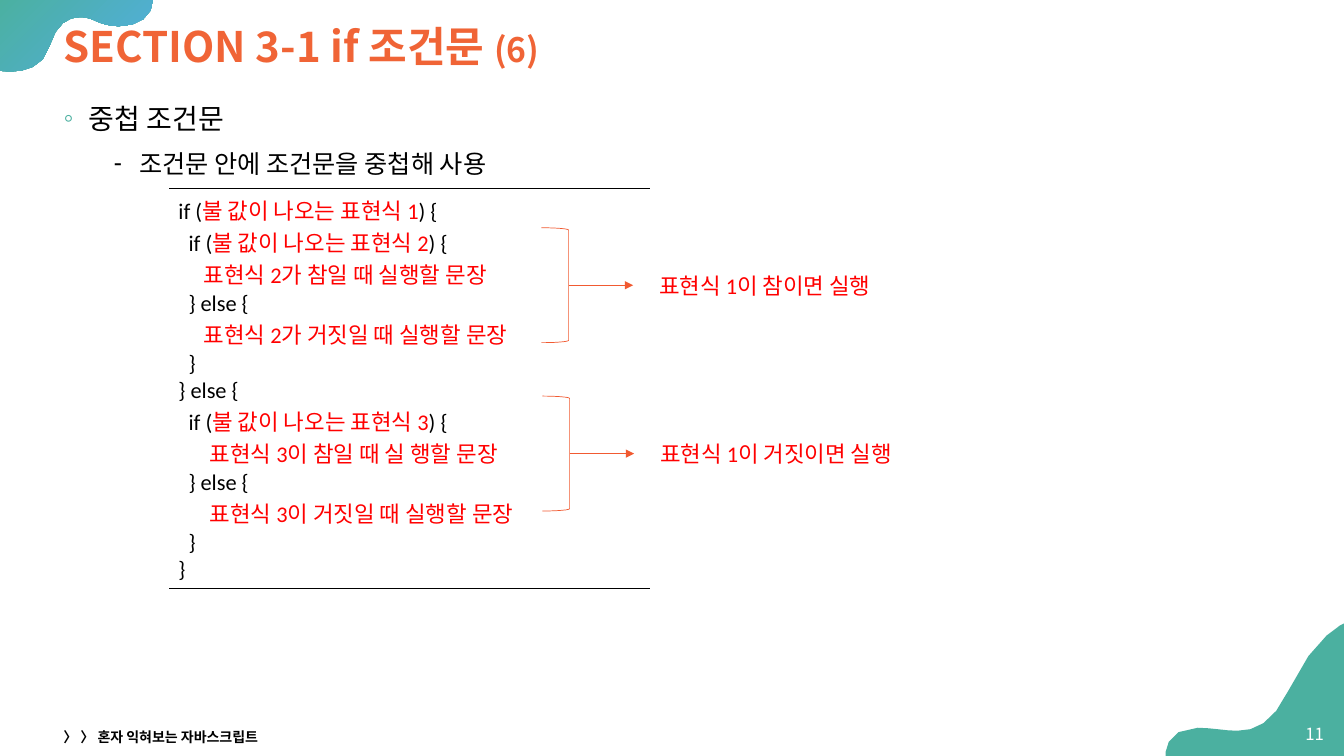
from lxml.etree import SubElement
from pptx import Presentation
from pptx.dml.color import RGBColor
from pptx.enum.shapes import MSO_CONNECTOR as Connector, MSO_SHAPE as Preset
from pptx.enum.text import MSO_ANCHOR as Anchor, MSO_AUTO_SIZE as AutoSize, PP_ALIGN as Align
from pptx.oxml import parse_xml
from pptx.oxml.ns import nsdecls, qn
from pptx.util import Pt

PX = 9144
KOREAN = "Noto Sans CJK KR"
COLORS = {
    "teal": "4BB0A0", "sky": "52AEE1", "title": "F06436", "accent": "F15A31",
    "black": "000000", "red": "FF0000", "white": "FFFFFF",
}
TOP_BLOB = [
    [(152, -2)], [(-1, -2)], [(-1, 70)],
    [(-1, 70), (4, 71), (11, 71)], [(24, 71), (43, 67), (49, 46)],
    [(56, 23), (68, 17), (79, 17)], [(84, 17), (89, 18), (93, 20)],
    [(101, 24), (110, 26), (118, 26)], [(137, 26), (152, 17), (152, -2)],
]
CORNER_BLOB = [
    [(1334, 618)], [(1334, 618), (1304, 629), (1278, 685)],
    [(1262, 718), (1245, 725), (1227, 725)], [(1215, 725), (1202, 722), (1188, 722)],
    [(1154, 722), (1156, 750), (1156, 750)], [(1334, 750)],
]
CODE = [
    (0, "if (", "불 값이 나오는 표현식 1", ") {"),
    (10, "if (", "불 값이 나오는 표현식 2", ") {"),
    (25, "", "표현식 2가 참일 때 실행할 문장", ""),
    (10, "} else {", "", ""),
    (25, "", "표현식 2가 거짓일 때 실행할 문장", ""),
    (10, "}", "", ""),
    (0, "} else {", "", ""),
    (10, "if (", "불 값이 나오는 표현식 3", ") {"),
    (31, "", "표현식 3이 참일 때 실 행할 문장", ""),
    (10, "} else {", "", ""),
    (31, "", "표현식 3이 거짓일 때 실행할 문장", ""),
    (10, "}", "", ""),
    (0, "}", "", ""),
]


def rgb(name):
    """Look up a named colour."""
    return RGBColor.from_string(COLORS[name])


def emu(box):
    """Turn a box in px into EMU."""
    return [length * PX for length in box]


def style(span, size, color, font=KOREAN, bold=False):
    """Format one run without kerning, with a Korean face for Hangul."""
    span.font.size, span.font.bold, span.font.name = Pt(size), bold, font
    span.font.color.rgb = rgb(color)
    span.font._element.set("kern", "0")
    SubElement(span.font._element, qn("a:ea"), typeface=KOREAN)


def place(shape, box):
    """Move a shape to a box."""
    shape.left, shape.top, shape.width, shape.height = emu(box)


def add_label(page, box, text, size, color, font=KOREAN, bold=False,
              align=Align.LEFT, anchor=Anchor.MIDDLE):
    """Add one line of text in a box."""
    frame = page.shapes.add_textbox(*emu(box)).text_frame
    frame.word_wrap, frame.vertical_anchor = True, anchor
    frame.text = text
    frame.paragraphs[0].alignment = align
    style(frame.paragraphs[0].runs[0], size, color, font, bold)


def outline(segments, steps=4):
    """Flatten straight and cubic segments into points in tenths of a px."""
    points = [segments[0][0]]
    for segment in segments[1:]:
        if len(segment) == 1:
            points.append(segment[0])
            continue
        corners = [points[-1], *segment]
        for step in range(1, steps + 1):
            t = step / steps
            weights = [(1 - t) ** 3, 3 * t * (1 - t) ** 2, 3 * t * t * (1 - t), t ** 3]
            points.append(tuple(sum(w * corner[axis] for w, corner in zip(weights, corners))
                                for axis in (0, 1)))
    return [(round(x * 10), round(y * 10)) for x, y in points]


def add_blob(page, segments):
    """Add a teal decorative blob."""
    start, *rest = outline(segments)
    builder = page.shapes.build_freeform(*start, scale=PX / 10)
    builder.add_line_segments(rest, close=True)
    blob = builder.convert_to_shape()
    blob.shadow.inherit = False
    blob.line.fill.background()
    blob.fill.solid()
    blob.fill.fore_color.rgb = rgb("teal")
    return blob


def add_decoration(page):
    """Add both corner blobs."""
    fill = add_blob(page, TOP_BLOB).fill
    fill.gradient()
    fill.gradient_angle = 315
    for stop, name in zip(fill.gradient_stops, ("teal", "sky")):
        stop.color.rgb = rgb(name)
    add_blob(page, CORNER_BLOB)


def fill_title(title, box):
    """Write the section title."""
    place(title, box)
    frame = title.text_frame
    frame.vertical_anchor, frame.auto_size = Anchor.MIDDLE, AutoSize.NONE
    para = frame.paragraphs[0]
    para.alignment, para.line_spacing = Align.LEFT, 0.9
    for text, size in (("SECTION 3-1 if 조건문 ", 30), ("(6)", 24)):
        span = para.add_run()
        span.text = text
        style(span, size, "title", bold=True)


def fill_body(body, box):
    """Write the bulleted list."""
    place(body, box)
    frame = body.text_frame
    frame.auto_size = AutoSize.NONE
    items = [("중첩 조건문", 20, 10, 25, "◦", "teal"),
             ("조건문 안에 조건문을 중첩해 사용", 18, 5, 75, "⁃", "black")]
    frame.text = "\n".join(item[0] for item in items)
    for level, (para, item) in enumerate(zip(frame.paragraphs, items)):
        _, size, before, margin, bullet, color = item
        para.level, para.line_spacing, para.space_before = level, 1.2, Pt(before)
        para.alignment = Align.LEFT
        style(para.runs[0], size, "black", "Arial")
        props = para._p.get_or_add_pPr()
        props.set("marL", str(margin * PX))
        props.set("indent", str(-25 * PX))
        tint = SubElement(props, qn("a:buClr"))
        SubElement(tint, qn("a:srgbClr"), val=COLORS[color])
        SubElement(props, qn("a:buFont"), typeface="Arial")
        SubElement(props, qn("a:buChar"), char=bullet)


def add_code(page, box):
    """Add the ruled table that holds the nested condition."""
    table = page.shapes.add_table(1, 1, *emu(box)).table
    table.first_row = table.horz_banding = False
    cell = table.cell(0, 0)
    cell.fill.background()
    props = cell._tc.get_or_add_tcPr()
    for index, side in enumerate(("lnT", "lnB")):
        props.insert(index, parse_xml(
            f'<a:{side} {nsdecls("a")} w="12700"><a:solidFill>'
            f'<a:srgbClr val="{COLORS["black"]}"/></a:solidFill></a:{side}>'))
    frame = cell.text_frame
    for index, (indent, *parts) in enumerate(CODE):
        para = frame.add_paragraph() if index else frame.paragraphs[0]
        para._p.get_or_add_pPr().set("marL", str(indent * PX))
        for text, color in zip(parts, ("black", "red", "black")):
            if text:
                span = para.add_run()
                span.text = text
                style(span, 16, color, "Calibri")


def add_branch(page, box, note):
    """Add a bracket with an arrow to its note."""
    left, top, width, height = box
    bracket = page.shapes.add_shape(Preset.RIGHT_BRACKET, *emu(box))
    bracket.shadow.inherit = False
    bracket.fill.background()
    middle, start = top + height // 2, left + width
    arrow = page.shapes.add_connector(
        Connector.STRAIGHT, *emu((start, middle, start + 64, middle)))
    SubElement(arrow._element.spPr, qn("a:effectLst"))
    for shape in (bracket, arrow):
        shape.line.color.rgb = rgb("accent")
        shape.line.width = Pt(0.5)
    SubElement(arrow.line._get_or_add_ln(), qn("a:tailEnd"), type="triangle")
    add_label(page, (start + 80, middle - 18, 310, 37), note, 16, "red", "Calibri",
              anchor=Anchor.TOP)


def add_footer(page):
    """Add the book line and the page number."""
    add_label(page, (53, 719, 450, 24), "〉 〉 혼자 익혀보는 자바스크립트", 10, "black", bold=True)
    add_label(page, (1279, 708, 44, 40), "11", 12, "white", align=Align.RIGHT)


def main():
    """Build and save the deck."""
    deck = Presentation()
    deck.slide_width, deck.slide_height = emu((1333, 750))
    page = deck.slides.add_slide(deck.slide_layouts[1])
    add_decoration(page)
    fill_title(page.shapes.title, (53, 12, 1234, 73))
    fill_body(page.placeholders[1], (53, 89, 1234, 585))
    add_footer(page)
    add_code(page, (167, 187, 478, 397))
    add_branch(page, (537, 226, 27, 114), "표현식 1이 참이면 실행")
    add_branch(page, (538, 393, 27, 114), "표현식 1이 거짓이면 실행")
    deck.save("out.pptx")


if __name__ == "__main__":
    main()
